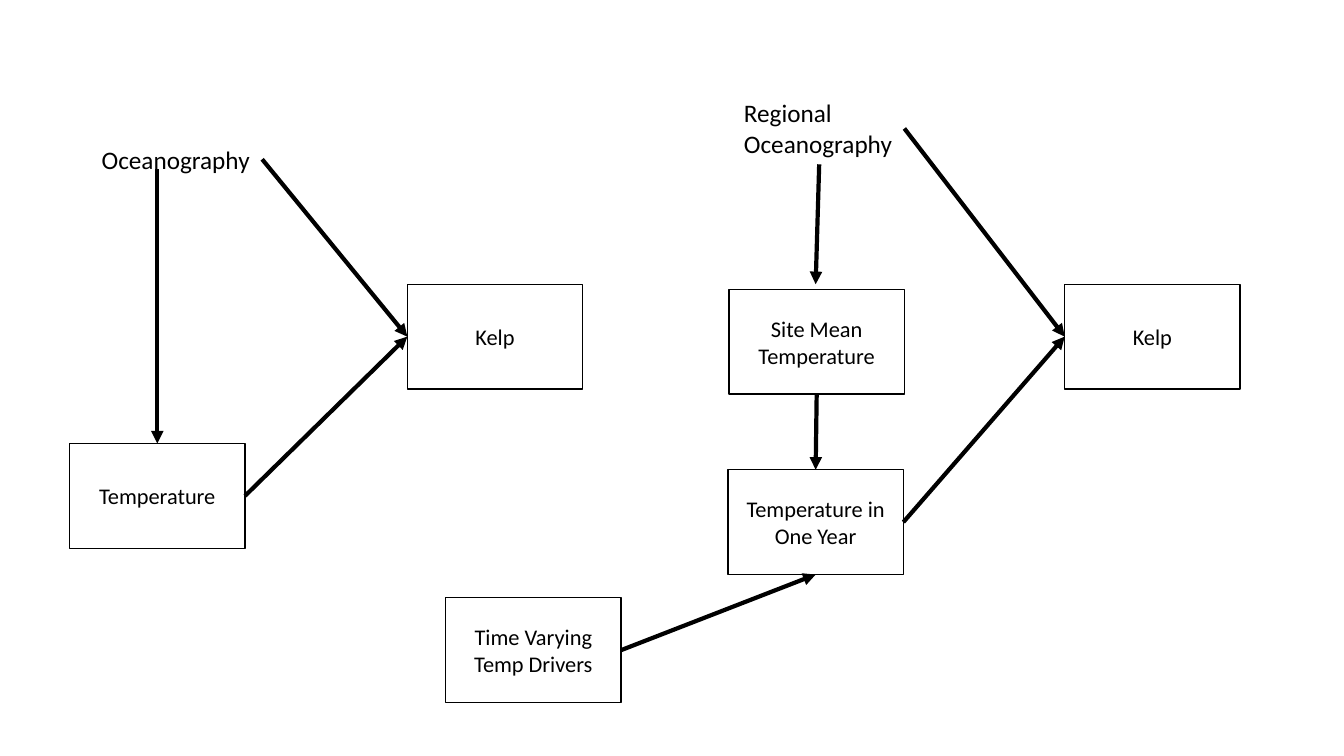
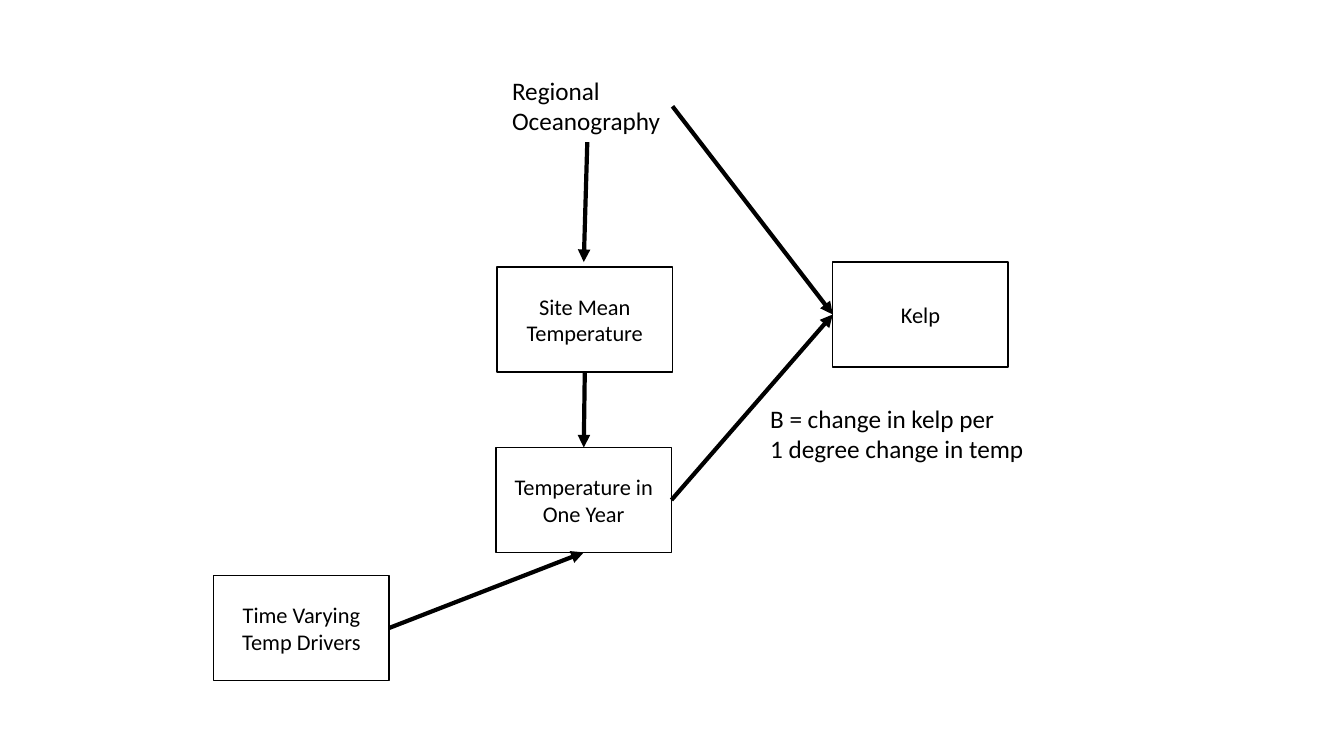
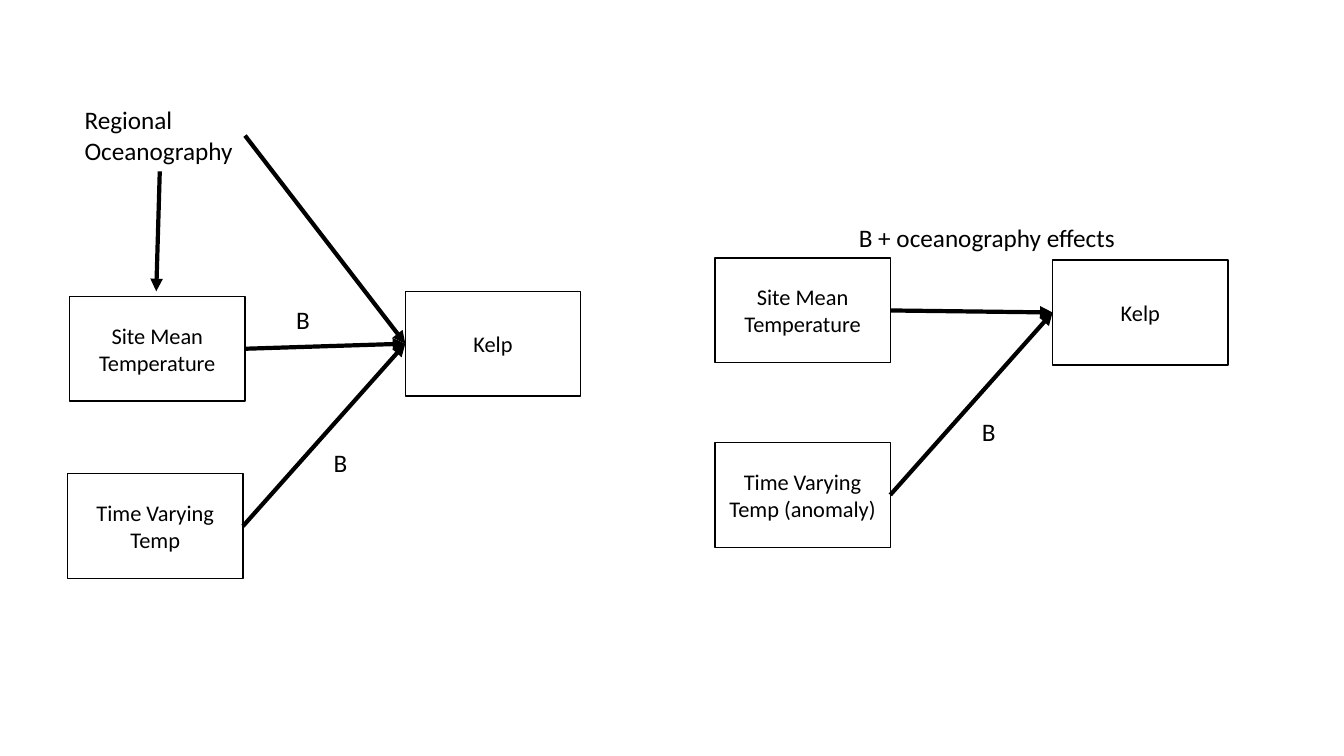
from pptx import Presentation, util as u
from pptx.dml.color import RGBColor
from pptx.enum import shapes, text
from pptx.oxml.ns import qn
from lxml import etree

Inches, Pt = u.Inches, u.Pt
INK, PAPER, FONT = "000000", "FFFFFF", "Calibri"
BOX_W, BOX_H = 1.74, 1.04
TOP, LEFT, BOTTOM, RIGHT = range(4)  # connection sites of a box


def color(code):
    return RGBColor.from_string(code)


def write(frame, words, size, align):
    frame.text = words
    for para in frame.paragraphs:
        para.alignment = align
        for run in para.runs:
            run.font.name, run.font.size = FONT, Pt(size)
            run.font.color.rgb = color(INK)


# Names of the nodes
OCEAN, REGION = "Oceanography", "Regional\nOceanography"
KELP, TEMP = "Kelp", "Temperature"
SITE, YEAR = "Site Mean Temperature", "Temperature in One Year"
DRIVE, VARY = "Time Varying Temp Drivers", "Time Varying Temp"
ODD = "Time Varying Temp (anomaly)"

# Parts that several diagrams share
top_boxes = [(SITE, 7.23, 2.87), (KELP, 10.56, 2.82)]
top_label = [(REGION, 7.28, 0.92, 1.69)]
top_links = [((REGION, RIGHT), (KELP, LEFT)),
             ((REGION, BOTTOM), (8.09, 2.82))]
chain_boxes = top_boxes + [(YEAR, 7.22, 4.66), (DRIVE, 4.42, 5.93)]
chain_links = top_links + [((SITE, BOTTOM), (YEAR, TOP)),
                           ((YEAR, RIGHT), (KELP, LEFT)),
                           ((DRIVE, RIGHT), (YEAR, BOTTOM))]

# Slide number, shift, boxes, labels with widths, arrows
graphs = [
    (0, (0, 0), [(TEMP, 0.69, 4.4), (KELP, 4.04, 2.82)],
     [(OCEAN, 0.91, 1.38, 1.69)],
     [((TEMP, RIGHT), (KELP, LEFT)),
      ((OCEAN, RIGHT), (KELP, LEFT)),
      ((1.56, 1.68), (TEMP, TOP))]),
    (0, (0, 0), chain_boxes, top_label, chain_links),
    (1, (-2.3, -0.22), chain_boxes,
     top_label + [("B = change in kelp per\n1 degree change in temp",
                   9.84, 4.17, 2.75)], chain_links),
    (2, (-6.54, 0.07), top_boxes + [(VARY, 7.21, 4.63)],
     top_label + [("B", 9.75, 4.32, 0.34), ("B", 9.38, 2.9, 0.34)],
     top_links + [((VARY, RIGHT), (KELP, LEFT)),
                  ((SITE, RIGHT), (KELP, LEFT))]),
    (2, (0, 0), [(KELP, 10.44, 2.58), (ODD, 7.09, 4.39), (SITE, 7.09, 2.56)],
     [("B", 9.64, 4.08, 0.34),
      ("B + oceanography effects", 8.42, 2.16, 2.78)],
     [((ODD, RIGHT), (KELP, LEFT)), ((SITE, RIGHT), (KELP, LEFT))]),
]

deck = Presentation()
deck.slide_width, deck.slide_height = Inches(13.33), Inches(7.5)
slides = [deck.slides.add_slide(deck.slide_layouts[6]) for _ in range(3)]

for page, (dx, dy), boxes, labels, links in graphs:
    canvas = slides[page].shapes
    nodes = {}

    # Boxes
    for name, x, y in boxes:
        box = canvas.add_shape(shapes.MSO_SHAPE.RECTANGLE, Inches(x + dx),
                               Inches(y + dy), Inches(BOX_W), Inches(BOX_H))
        box.shadow.inherit = False
        box.fill.solid()
        box.fill.fore_color.rgb = color(PAPER)
        box.line.color.rgb = color(INK)
        box.line.width = Pt(1)
        box.text_frame.vertical_anchor = text.MSO_ANCHOR.MIDDLE
        write(box.text_frame, name, 16, text.PP_ALIGN.CENTER)
        nodes[name] = box

    # Labels
    for name, x, y, wide in labels:
        high = 0.71 if "\n" in name else 0.4
        label = canvas.add_textbox(Inches(x + dx), Inches(y + dy),
                                   Inches(wide), Inches(high))
        label.text_frame.word_wrap = False
        label.text_frame.auto_size = text.MSO_AUTO_SIZE.SHAPE_TO_FIT_TEXT
        write(label.text_frame, name, 18, text.PP_ALIGN.LEFT)
        nodes[name] = label

    # Arrows, each end tied to a node or set at a point
    for start, end in links:
        arrow = canvas.add_connector(shapes.MSO_CONNECTOR.STRAIGHT, 0, 0, 0, 0)
        if start[0] in nodes:
            arrow.begin_connect(nodes[start[0]], start[1])
        else:
            arrow.begin_x = Inches(start[0] + dx)
            arrow.begin_y = Inches(start[1] + dy)
        if end[0] in nodes:
            arrow.end_connect(nodes[end[0]], end[1])
        else:
            arrow.end_x = Inches(end[0] + dx)
            arrow.end_y = Inches(end[1] + dy)
        arrow.line.color.rgb = color(INK)
        arrow.line.width = Pt(3)
        props = arrow.element.spPr
        etree.SubElement(props.find(qn("a:ln")), qn("a:tailEnd"), type="triangle")
        etree.SubElement(props, qn("a:effectLst"))

deck.save("out.pptx")
